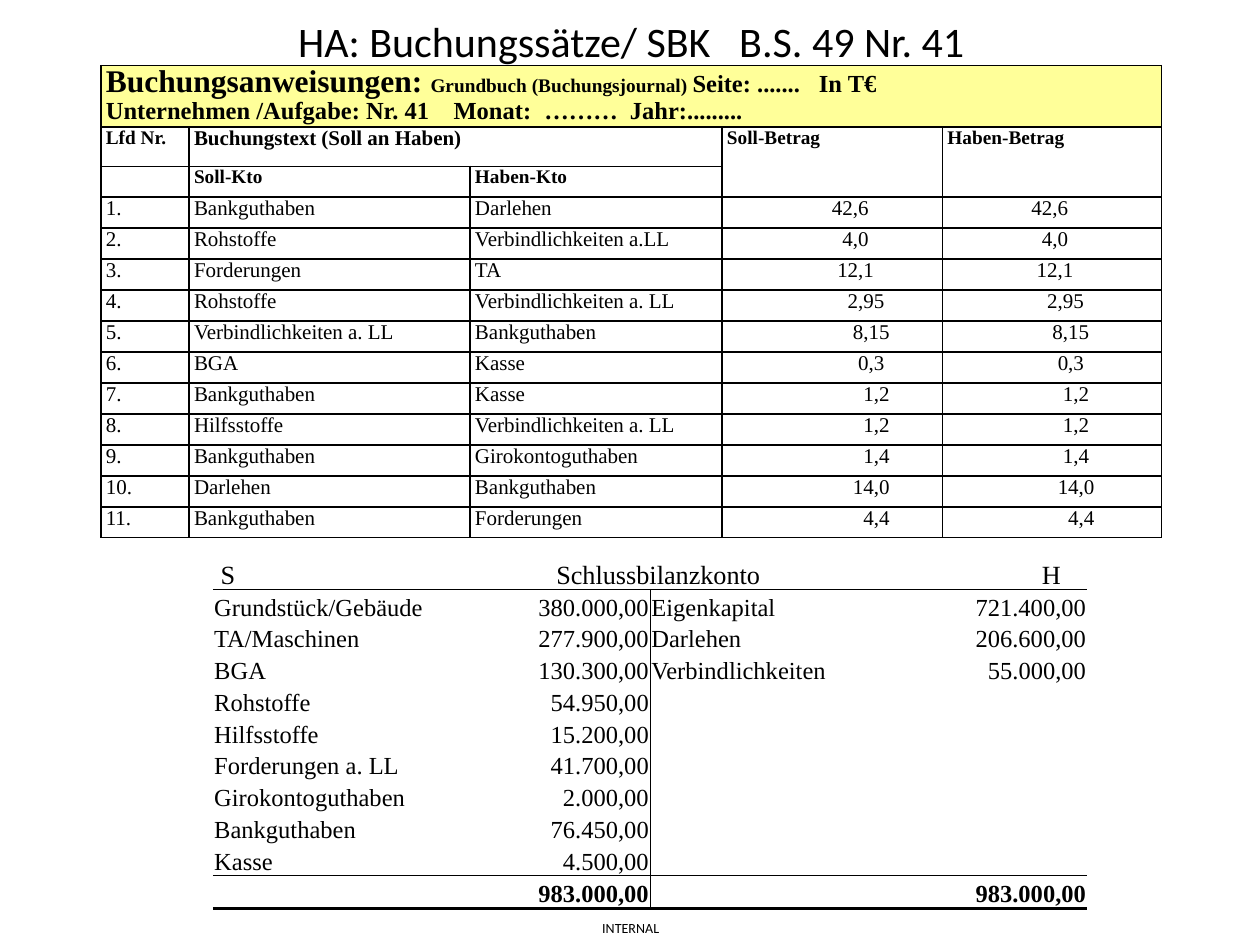
from dataclasses import dataclass
from typing import Optional

from lxml import etree
from pptx import Presentation
from pptx.dml.color import RGBColor
from pptx.enum.text import MSO_ANCHOR, MSO_AUTO_SIZE, PP_ALIGN
from pptx.oxml.ns import qn
from pptx.util import Emu, Inches, Pt

LEFT, CENTER, RIGHT = PP_ALIGN.LEFT, PP_ALIGN.CENTER, PP_ALIGN.RIGHT
TOP, MIDDLE, BOTTOM = MSO_ANCHOR.TOP, MSO_ANCHOR.MIDDLE, MSO_ANCHOR.BOTTOM
NO_FIT = MSO_AUTO_SIZE.NONE
NO_GRID_STYLE = "{2D5ABB26-0587-4C30-8999-92F81FD0307C}"


@dataclass(frozen=True)
class Theme:
    ink: RGBColor = RGBColor(0x00, 0x00, 0x00)
    banner: RGBColor = RGBColor(0xFF, 0xFF, 0x99)
    heading_font: str = "Calibri"
    table_font: str = "Times New Roman"
    title: float = 24
    banner_large: float = 18
    account_head: float = 15
    account: float = 14
    entry: float = 12
    label: float = 11
    footer: float = 8


THEME = Theme()


@dataclass(frozen=True)
class Span:
    text: str
    size: float
    bold: bool = False
    tracking: float = 0


@dataclass(frozen=True)
class Content:
    spans: tuple[Span, ...] = ()
    align: PP_ALIGN = LEFT
    indent: Emu = Emu(0)
    tabs: tuple[float, ...] = ()
    line_spacing: Optional[float] = None


@dataclass(frozen=True)
class CellFormat:
    anchor: MSO_ANCHOR
    side: float
    top: float
    empty_size: float


@dataclass(frozen=True)
class Entry:
    debit: str
    credit: str
    amount: str
    debit_step: int
    credit_step: int


JOURNAL_FORMAT = CellFormat(TOP, 0.04, 0, THEME.label)
ACCOUNT_FORMAT = CellFormat(BOTTOM, 0.01, 0.01, THEME.account)
INDENT_STEP = Pt(3)

ENTRIES = [
    Entry("Bankguthaben", "Darlehen", "42,6", 20, 16),
    Entry("Rohstoffe", "Verbindlichkeiten a.LL", "4,0", 22, 18),
    Entry("Forderungen", "TA", "12,1", 21, 17),
    Entry("Rohstoffe", "Verbindlichkeiten a. LL", "2,95", 23, 19),
    Entry("Verbindlichkeiten a. LL", "Bankguthaben", "8,15", 24, 20),
    Entry("BGA", "Kasse", "0,3", 25, 21),
    Entry("Bankguthaben", "Kasse", "1,2", 26, 22),
    Entry("Hilfsstoffe", "Verbindlichkeiten a. LL", "1,2", 26, 22),
    Entry("Bankguthaben", "Girokontoguthaben", "1,4", 26, 22),
    Entry("Darlehen", "Bankguthaben", "14,0", 24, 21),
    Entry("Bankguthaben", "Forderungen", "4,4", 26, 23),
]
ASSETS = [
    ("Grundstück/Gebäude", "380.000,00"), ("TA/Maschinen", "277.900,00"),
    ("BGA", "130.300,00"), ("Rohstoffe", "54.950,00"),
    ("Hilfsstoffe", "15.200,00"), ("Forderungen a. LL", "41.700,00"),
    ("Girokontoguthaben", "2.000,00"), ("Bankguthaben", "76.450,00"),
    ("Kasse", "4.500,00"),
]
LIABILITIES = [("Eigenkapital", "721.400,00"), ("Darlehen", "206.600,00"),
               ("Verbindlichkeiten", "55.000,00")]
TOTAL = "983.000,00"


def write_para(para, content: Content, font_name: str) -> None:
    """Fill a paragraph; a line feed in a span becomes a line break."""
    para.alignment = content.align
    if content.line_spacing:
        para.line_spacing = content.line_spacing
    properties = para._p.get_or_add_pPr()
    properties.set("marL", str(int(content.indent)))
    if content.tabs:
        stops = etree.SubElement(properties, qn("a:tabLst"))
        for position in content.tabs:
            etree.SubElement(stops, qn("a:tab"), pos=str(Inches(position)), algn="l")
    for span in content.spans:
        for number, line in enumerate(span.text.split("\n")):
            if number:
                para.add_line_break()
            run = para.add_run()
            run.text = line
            for name, value in {"name": font_name, "size": Pt(span.size),
                                "bold": span.bold}.items():
                setattr(run.font, name, value)
            run.font.color.rgb = THEME.ink
            if span.tracking:
                run._r.get_or_add_rPr().set("spc", str(int(span.tracking * 100)))


def format_frame(frame, anchor: MSO_ANCHOR) -> None:
    for name, value in {"margin_left": 0, "margin_right": 0, "margin_top": 0,
                        "margin_bottom": 0, "vertical_anchor": anchor,
                        "word_wrap": True, "auto_size": NO_FIT}.items():
        setattr(frame, name, value)


def write_cell(cell, content: Content, style: CellFormat) -> None:
    for name, value in {"margin_left": Inches(style.side), "margin_right": Inches(style.side),
                        "margin_top": Inches(style.top), "margin_bottom": 0,
                        "vertical_anchor": style.anchor}.items():
        setattr(cell, name, value)
    para = cell.text_frame.paragraphs[0]
    write_para(para, content, THEME.table_font)
    if not content.spans:
        etree.SubElement(para._p, qn("a:endParaRPr"), sz=str(int(style.empty_size * 100)))


def set_borders(cell, widths: dict[str, float]) -> None:
    """Draw the sides named L, R, T, B with widths in points and clear the others."""
    properties = cell._tc.get_or_add_tcPr()
    for side in "LRTB":
        line = etree.SubElement(properties, qn(f"a:ln{side}"), w=str(Pt(widths.get(side, 0))))
        if side in widths:
            fill = etree.SubElement(line, qn("a:solidFill"))
            etree.SubElement(fill, qn("a:srgbClr"), val=str(THEME.ink))
        else:
            etree.SubElement(line, qn("a:noFill"))


def add_grid(page, left: float, top: float, columns: list[float], rows: list[float]):
    table = page.shapes.add_table(len(rows), len(columns), Inches(left), Inches(top),
                                  Inches(sum(columns)), Inches(sum(rows))).table
    table.first_row = table.horz_banding = False
    table._tbl.tblPr.find(qn("a:tableStyleId")).text = NO_GRID_STYLE
    for column, width in zip(table.columns, columns):
        column.width = Inches(width)
    for row, height in zip(table.rows, rows):
        row.height = Inches(height)
    return table


def plain(text: str, size: float, bold: bool = False, align: PP_ALIGN = LEFT,
          indent: Emu = Emu(0)) -> Content:
    return Content((Span(text, size, bold),) if text else (), align, indent)


def add_journal(page) -> None:
    heads = [0.49, 0.31]
    row_height = (3.75 - sum(heads)) / (len(ENTRIES) + 1)
    table = add_grid(page, 0.8, 0.52, [0.7, 2.23, 2, 1.75, 1.74],
                     heads + [row_height] * (len(ENTRIES) + 1))
    banner = Content((
        Span("Buchungsanweisungen: ", THEME.banner_large, True),
        Span("Grundbuch (Buchungsjournal) ", THEME.label, True),
        Span("Seite: .......\tIn T€\nUnternehmen /Aufgabe: Nr. 41\tMonat:\t………\tJahr:.........",
             THEME.account, True),
    ), tabs=(2.76, 3.48, 4.16, 5.66), line_spacing=0.96)
    empty = Content()
    grid = [[banner] + [empty] * 4,
            [plain("Lfd Nr.", THEME.label, True),
             plain("Buchungstext (Soll an Haben)", THEME.entry, True), empty,
             plain("Soll-Betrag", THEME.label, True), plain("Haben-Betrag", THEME.label, True)],
            [empty, plain("Soll-Kto", THEME.label, True),
             plain("Haben-Kto", THEME.label, True), empty, empty]]
    for number, entry in enumerate(ENTRIES, 1):
        grid.append([plain(text, THEME.entry) for text in (f"{number}.", entry.debit, entry.credit)]
                    + [plain(entry.amount, THEME.entry, indent=INDENT_STEP * step)
                       for step in (entry.debit_step, entry.credit_step)])
    open_sides = {1: "LRT", 2: "LRB"}
    for r, row in enumerate(grid):
        for c, content in enumerate(row):
            cell = table.cell(r, c)
            write_cell(cell, content, JOURNAL_FORMAT)
            sides = open_sides.get(r, "LRTB") if c > 2 else "LRTB"
            set_borders(cell, dict.fromkeys(sides, 1))
    table.cell(0, 0).merge(table.cell(0, 4))
    table.cell(1, 1).merge(table.cell(1, 2))
    table.cell(0, 0).fill.solid()
    table.cell(0, 0).fill.fore_color.rgb = THEME.banner


def add_closing_account(page) -> None:
    head_height, total_height = 0.3, 0.26
    row_height = (2.83 - head_height - total_height) / len(ASSETS)
    table = add_grid(page, 1.69, 4.38, [1.8, 1.67, 1.8, 1.67],
                     [head_height] + [row_height] * len(ASSETS) + [total_height])
    head = THEME.account_head
    grid = [[plain("S", head, indent=Inches(0.05)),
             plain("Schlussbilanzkonto", head, align=CENTER), Content(),
             plain("H", head, indent=Inches(1.3))]]
    blanks = [("", "")] * (len(ASSETS) - len(LIABILITIES))
    for asset, liability in zip(ASSETS, LIABILITIES + blanks):
        grid.append([plain(text, THEME.account, align=align)
                     for text, align in zip(asset + liability, (LEFT, RIGHT) * 2)])
    grid.append([Content(), plain(TOTAL, THEME.account, True, RIGHT)] * 2)
    last = len(grid) - 1
    rules = {0: {"B": 1}, 1: {"T": 1}, last - 1: {"B": 0.5}, last: {"T": 0.5, "B": 2}}
    divider = {1: {"R": 0.5}, 2: {"L": 0.5}}
    for r, row in enumerate(grid):
        for c, content in enumerate(row):
            cell = table.cell(r, c)
            write_cell(cell, content, ACCOUNT_FORMAT)
            set_borders(cell, rules.get(r, {}) | (divider.get(c, {}) if r else {}))
    table.cell(0, 1).merge(table.cell(0, 2))


def place(shape, left: float, top: float, width: float, height: float) -> None:
    for name, value in {"left": left, "top": top, "width": width, "height": height}.items():
        setattr(shape, name, Inches(value))


def main() -> None:
    deck = Presentation()
    deck.slide_width, deck.slide_height = Inches(10), Inches(7.5)
    page = deck.slides.add_slide(deck.slide_layouts[5])

    title = page.shapes.title
    place(title, 0.51, 0.13, 9, 0.39)
    format_frame(title.text_frame, MIDDLE)
    write_para(title.text_frame.paragraphs[0], Content((
        Span("HA: Buchungssätze/ SBK", THEME.title), Span(" ", THEME.title, tracking=10.8),
        Span("B.S. 49 Nr. 41", THEME.title)), CENTER), THEME.heading_font)

    add_journal(page)
    add_closing_account(page)

    footer = page.shapes.add_textbox(Inches(4.78), Inches(7.3), Inches(0.47), Inches(0.13))
    format_frame(footer.text_frame, TOP)
    footer.text_frame.word_wrap = False
    write_para(footer.text_frame.paragraphs[0], plain("INTERNAL", THEME.footer),
               THEME.heading_font)
    deck.save("out.pptx")


if __name__ == "__main__":
    main()
